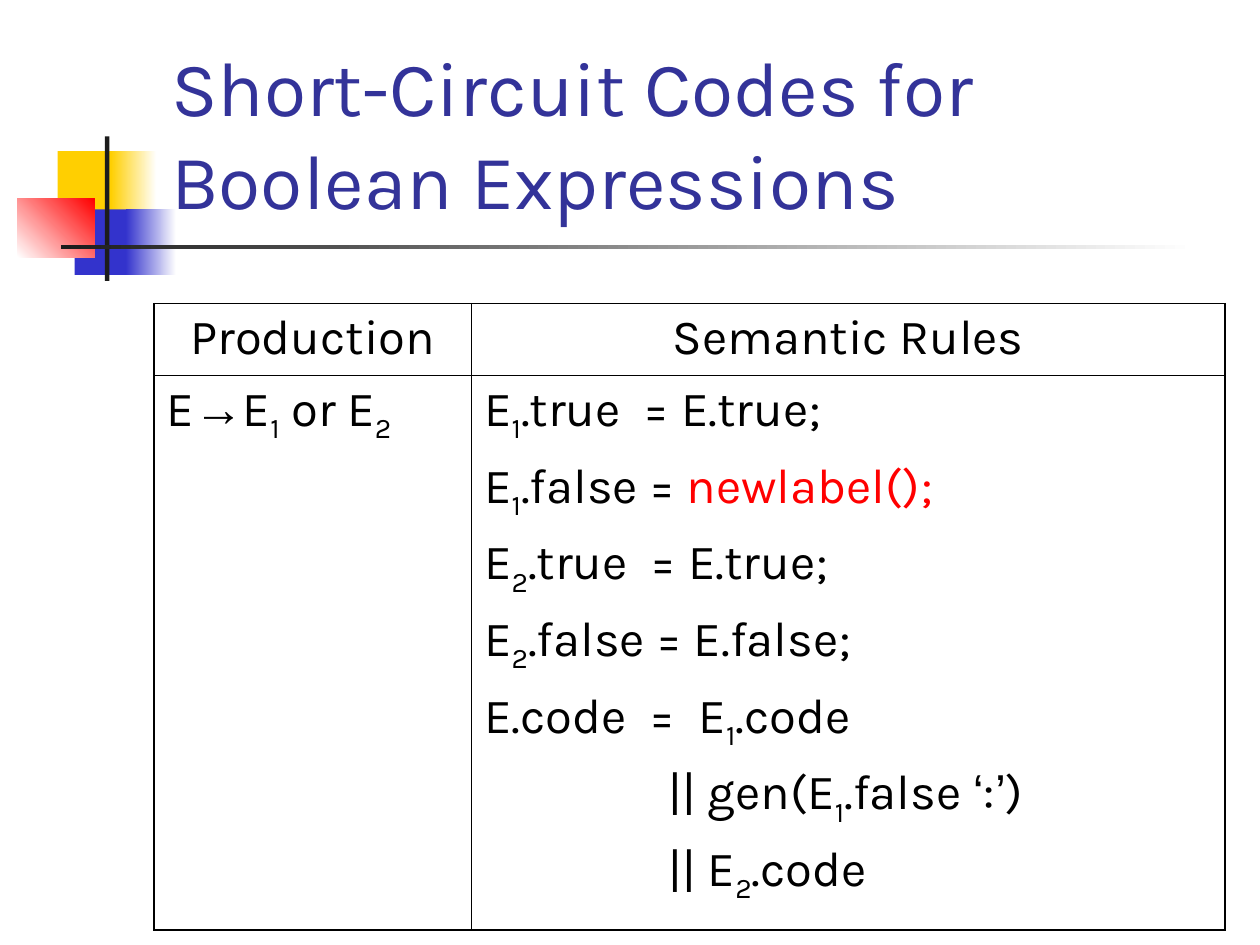
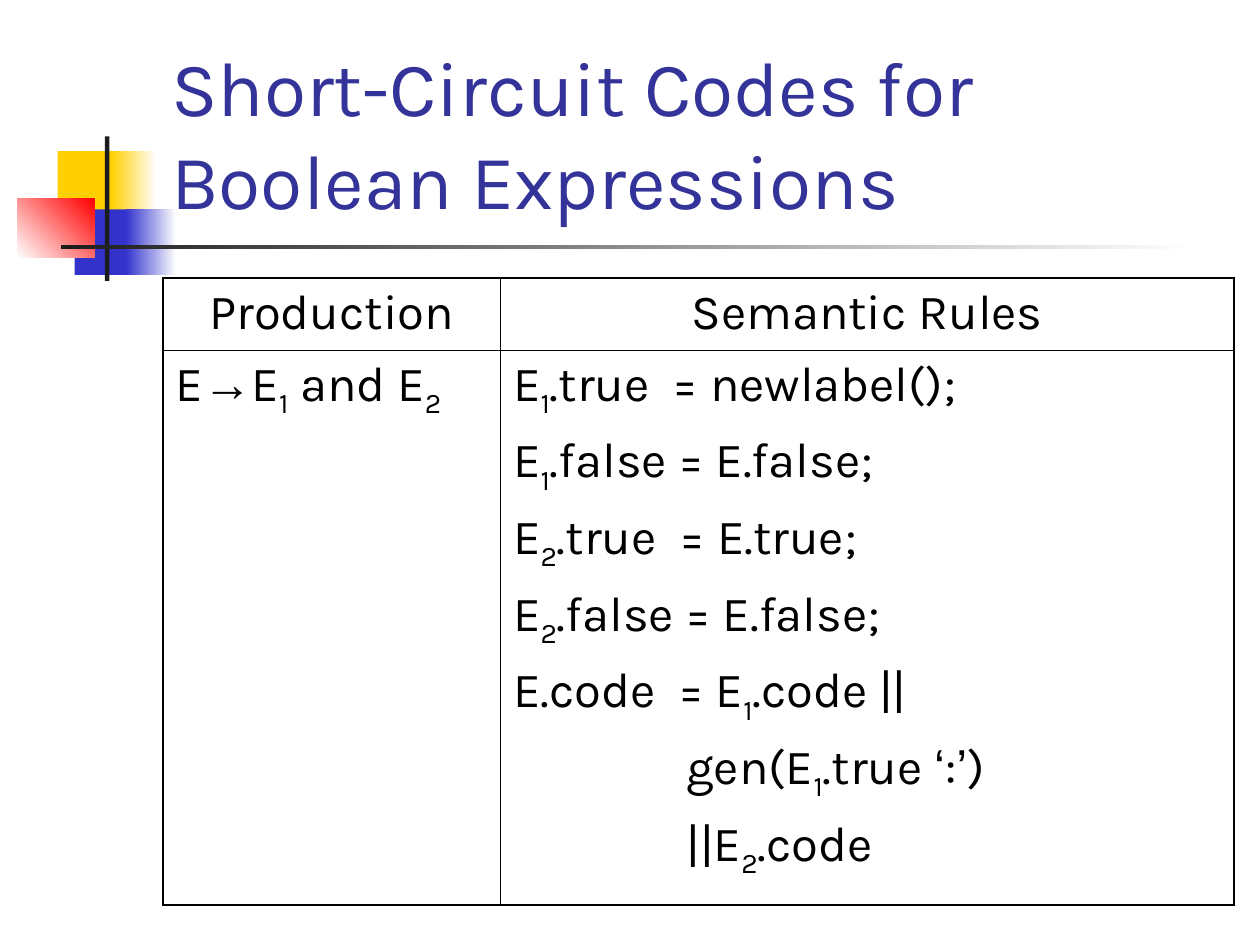
from itertools import groupby

from lxml import etree
from pptx import Presentation
from pptx.dml.color import RGBColor
from pptx.enum.shapes import MSO_SHAPE
from pptx.enum.text import MSO_ANCHOR, PP_ALIGN
from pptx.oxml.ns import qn
from pptx.util import Pt

RECTANGLE = MSO_SHAPE.RECTANGLE
BOTTOM = MSO_ANCHOR.BOTTOM
LEFT, CENTER = PP_ALIGN.LEFT, PP_ALIGN.CENTER

YELLOW = RGBColor(0xFF, 0xCF, 0x01)
BLUE = RGBColor(0x33, 0x33, 0xCC)
RED = RGBColor(0xFF, 0x00, 0x00)
WHITE = RGBColor(0xFF, 0xFF, 0xFF)
CHARCOAL = RGBColor(0x1C, 0x1C, 0x1C)
TITLE_COLOR = RGBColor(0x33, 0x33, 0x99)
BLACK = RGBColor(0x00, 0x00, 0x00)

FONT = "Karla"
SYMBOL_FONT = "Arial"
SYMBOLS = "→‘’"
TITLE = "Short-Circuit Codes for Boolean Expressions"
HEADERS = ("Production", "Semantic Rules")

# Digits are set as subscripts; "*" starts red text; "\t" marks an indented rule.
SLIDES = [
    {
        "production": "E→E1 or E2",
        "rules": [
            "E1.true  = E.true;",
            "E1.false = *newlabel();",
            "E2.true  = E.true;",
            "E2.false = E.false;",
            "E.code  =  E1.code",
            "\t|| gen(E1.false ‘:’)",
            "\t|| E2.code",
        ],
        "left": 88, "top": 173.5, "production_width": 181.5, "indent": 105.5,
    },
    {
        "production": "E→E1 and E2",
        "rules": [
            "E1.true  = newlabel();",
            "E1.false = E.false;",
            "E2.true  = E.true;",
            "E2.false = E.false;",
            "E.code  = E1.code ||",
            "\tgen(E1.true ‘:’)",
            "\t||E2.code",
        ],
        "left": 93, "top": 159, "production_width": 193, "indent": 99,
    },
]

ORNAMENTS = [
    ((33, 86.4, 34.5, 37.4), (YELLOW,), 0),
    ((63.4, 86.4, 26, 37.4), (YELLOW, WHITE), 0),
    ((42.6, 119.7, 33, 37.4), (BLUE,), 0),
    ((72, 119.7, 28.8, 37.4), (BLUE, WHITE), 0),
    ((9.9, 113.7, 44.2, 33.4), (WHITE, RED), 45),
    ((60, 78, 2.5, 82.6), (CHARCOAL,), 0),
    ((34.9, 140, 648, 2.5), (CHARCOAL, WHITE), 0),
]
TITLE_FRAME = (90.7, 16.6, 613.4, 115.2)
TABLE_WIDTH = 612
ROW_HEIGHTS = (41, 317)
OUTER_LINE, INNER_LINE = 1.08, 0.45
RULE_GAP = 7


def points(values):
    return [Pt(value) for value in values]


def add_span(para, text, size, color):
    span = para.add_run()
    span.text = text
    span.font.name = FONT
    span.font.size = Pt(size)
    span.font.color.rgb = color
    return span


def character_kind(character):
    if character.isdigit():
        return "subscript"
    return "symbol" if character in SYMBOLS else "plain"


def add_formula(para, text, color=BLACK):
    for kind, characters in groupby(text, character_kind):
        span = add_span(para, "".join(characters), 28, color)
        if kind == "subscript":
            span.font._element.set("baseline", "-25000")
        elif kind == "symbol":
            span.font.name = SYMBOL_FONT


def fill_cell(cell, lines, align, indent):
    for index, line in enumerate(lines):
        frame = cell.text_frame
        para = frame.add_paragraph() if index else frame.paragraphs[0]
        para.alignment = align
        if index:
            para.space_before = Pt(RULE_GAP)
        if line.startswith("\t"):
            properties = para._p.get_or_add_pPr()
            properties.set("marL", str(Pt(indent)))
            properties.set("indent", "0")
        black_text, _, red_text = line.strip("\t").partition("*")
        add_formula(para, black_text)
        add_formula(para, red_text, RED)


def set_borders(cell, row, column):
    cell.fill.background()
    properties = cell._tc.get_or_add_tcPr()
    outer_sides = {"L": column == 0, "R": column == 1, "T": row == 0, "B": row == 1}
    for position, (side, outer) in enumerate(outer_sides.items()):
        line = etree.Element(qn("a:ln" + side))
        line.set("w", str(Pt(OUTER_LINE if outer else INNER_LINE)))
        solid = etree.SubElement(line, qn("a:solidFill"))
        etree.SubElement(solid, qn("a:srgbClr")).set("val", str(BLACK))
        properties.insert(position, line)


def add_ornaments(page):
    for frame, colors, angle in ORNAMENTS:
        shape = page.shapes.add_shape(RECTANGLE, *points(frame))
        shape.shadow.inherit = False
        shape.line.fill.background()
        if len(colors) == 1:
            shape.fill.solid()
            shape.fill.fore_color.rgb = colors[0]
        else:
            shape.fill.gradient()
            shape.fill.gradient_angle = angle
            for stop, color in zip(shape.fill.gradient_stops, colors):
                stop.color.rgb = color


def add_title(page):
    box = page.shapes.add_textbox(*points(TITLE_FRAME))
    box.text_frame.word_wrap = True
    box.text_frame.vertical_anchor = BOTTOM
    add_span(box.text_frame.paragraphs[0], TITLE, 44, TITLE_COLOR)


def add_rule_table(page, content):
    frame = points((content["left"], content["top"], TABLE_WIDTH, sum(ROW_HEIGHTS)))
    table = page.shapes.add_table(2, 2, *frame).table
    table.first_row = table.horz_banding = False
    first_width = content["production_width"]
    for column, width in zip(table.columns, (first_width, TABLE_WIDTH - first_width)):
        column.width = Pt(width)
    rows = [[[header] for header in HEADERS], [[content["production"]], content["rules"]]]
    for row, (height, cells) in enumerate(zip(ROW_HEIGHTS, rows)):
        table.rows[row].height = Pt(height)
        for column, lines in enumerate(cells):
            cell = table.cell(row, column)
            set_borders(cell, row, column)
            fill_cell(cell, lines, LEFT if row else CENTER, content["indent"])


def main():
    deck = Presentation()
    deck.slide_width, deck.slide_height = Pt(720), Pt(540)
    for content in SLIDES:
        page = deck.slides.add_slide(deck.slide_layouts[6])
        add_ornaments(page)
        add_title(page)
        add_rule_table(page, content)
    deck.save("out.pptx")


if __name__ == "__main__":
    main()
